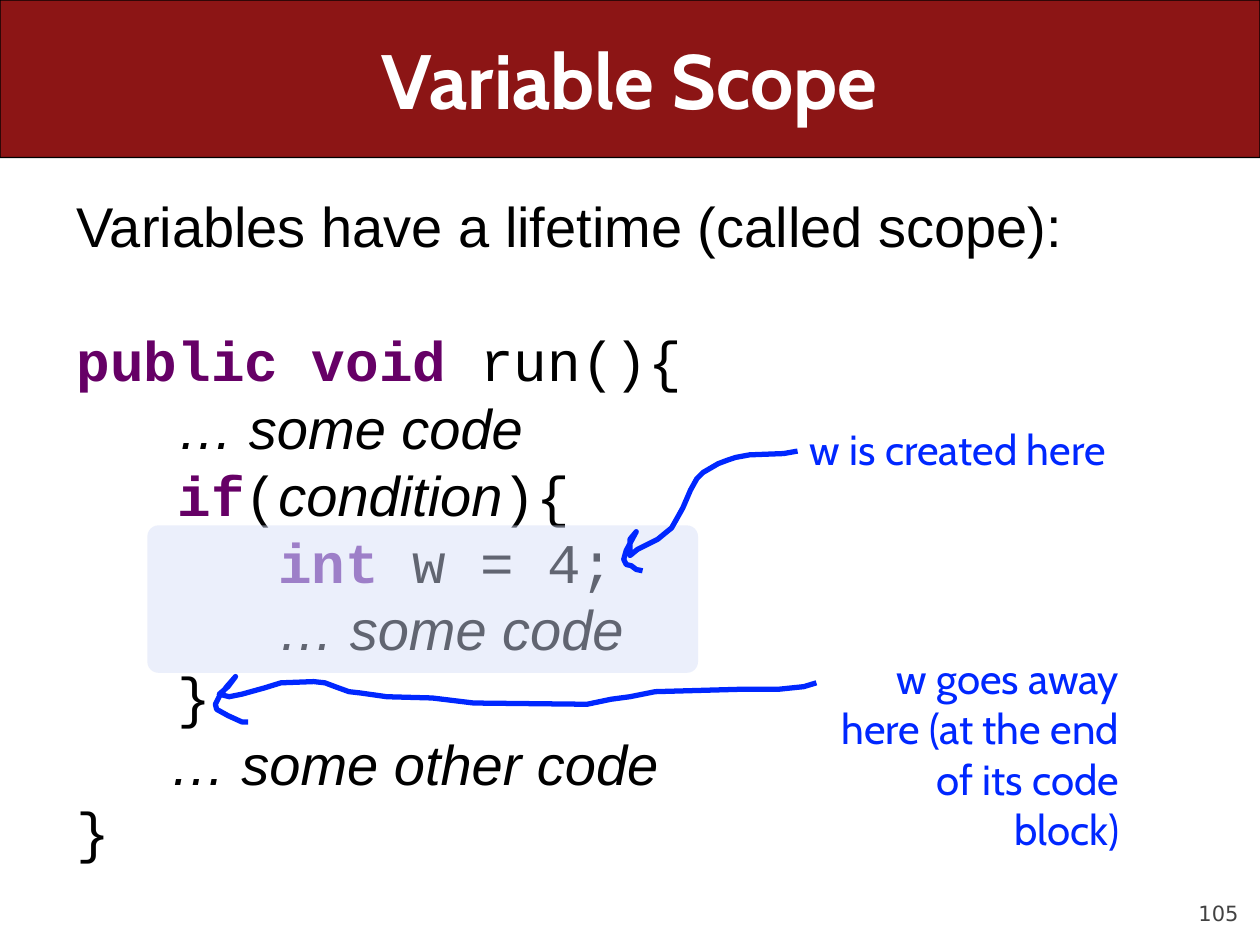
from lxml.etree import SubElement as Sub
from pptx import Presentation
from pptx.dml.color import RGBColor as RGB
from pptx.enum.shapes import MSO_SHAPE as Shape
from pptx.enum.text import MSO_ANCHOR as Anchor, MSO_AUTO_SIZE as Auto, PP_ALIGN as Align
from pptx.oxml.ns import qn
from pptx.util import Inches, Pt

COLORS = {"bar": "8C1515", "white": "FFFFFF", "black": "000000", "gray": "424242",
          "key": "660066", "type": "7030A0", "block": "D4DDF8", "note": "0027FF"}

# Run styles: font, colour, bold, italic
STYLES = {"text": ("Arial", "black", False, False),
          "some": ("Arial", "black", False, True),
          "code": ("Courier New", "black", False, False),
          "key": ("Courier New", "key", True, False),
          "type": ("Courier New", "type", True, False),
          "title": ("Cabin", "white", True, False),
          "note": ("Cabin", "note", False, False),
          "page": ("DejaVu Sans", "gray", False, False)}

SIZE, PITCH = 32, 38.4
STEP = 0.8  # three characters of code

# Lines of the body: indent in inches, then (text, style) runs
LINES = [
    (0, [("Variables have a lifetime (called scope):", "text")]),
    (0, [("public void ", "key"), ("run(){", "code")]),
    (STEP, [("… some code", "some")]),
    (STEP, [("if", "key"), ("(", "code"), ("condition", "some"), ("){", "code")]),
    (2 * STEP, [("int ", "type"), ("w = 4;", "code")]),
    (2 * STEP, [("… some code", "some")]),
    (STEP, [("}", "code")]),
    (0.74, [("… some other code", "some")]),
    (0, [("}", "code")]),
]

# Hand-drawn arrows, from the note to the code
START = [(6.33, 3.58), (6.22, 3.6), (5.95, 3.61), (5.84, 3.63), (5.78, 3.65),
         (5.7, 3.68), (5.58, 3.75), (5.53, 3.8), (5.48, 3.89), (5.42, 4.03),
         (5.37, 4.12), (5.33, 4.19), (5.22, 4.28), (5.14, 4.32), (5.06, 4.36),
         (5, 4.41), (5, 4.28), (5.05, 4.22), (4.97, 4.37), (4.95, 4.44),
         (4.97, 4.48), (5.01, 4.49), (5.05, 4.52), (5.1, 4.53)]
END = [(6.48, 5.42), (6.38, 5.45), (6.19, 5.47), (5.92, 5.47), (5.2, 5.49),
       (5, 5.53), (4.85, 5.55), (4.66, 5.59), (3.76, 5.58), (3.43, 5.54),
       (3.07, 5.53), (2.86, 5.5), (2.77, 5.49), (2.66, 5.45), (2.58, 5.42),
       (2.49, 5.41), (2.23, 5.42), (2.1, 5.46), (1.92, 5.51), (1.82, 5.53),
       (1.74, 5.51), (1.81, 5.45), (1.87, 5.37), (1.8, 5.45), (1.74, 5.53),
       (1.71, 5.59), (1.72, 5.63), (1.81, 5.68), (1.92, 5.73), (1.97, 5.73)]


def color(name):
    return RGB.from_string(COLORS[name])


def style(run, name, size):
    font = run.font
    font.name, tint, font.bold, font.italic = STYLES[name]
    font.color.rgb = color(tint)
    font.size = Pt(size)


def add_box(slide, area, wrap=True, grow=False):
    frame = slide.shapes.add_textbox(*map(Inches, area)).text_frame
    frame.word_wrap = wrap
    frame.auto_size = Auto.SHAPE_TO_FIT_TEXT if grow else Auto.NONE
    return frame


def add_label(slide, area, text, name, size, align, wrap=True, grow=False):
    frame = add_box(slide, area, wrap, grow)
    frame.text = text
    line = frame.paragraphs[0]
    line.alignment = align
    style(line.runs[0], name, size)
    return frame


def add_round(slide, area, fill, corner):
    shape = slide.shapes.add_shape(Shape.ROUNDED_RECTANGLE, *map(Inches, area))
    shape.adjustments[0] = corner
    shape.shadow.inherit = False
    shape.fill.solid()
    shape.fill.fore_color.rgb = color(fill)
    shape.line.fill.background()
    return shape


def add_code(slide, area):
    frame = add_box(slide, area, grow=True)
    for i, (indent, runs) in enumerate(LINES):
        line = frame.add_paragraph() if i else frame.paragraphs[0]
        line.line_spacing = Pt(PITCH)
        if i == 1:  # gap between the sentence and the code
            line.space_before = Pt(PITCH)
        line._p.get_or_add_pPr().set("marL", str(Inches(indent)))
        for text, name in runs:
            run = line.add_run()
            run.text = text
            style(run, name, SIZE)


def add_stroke(slide, points):
    first, *rest = [(Inches(x), Inches(y)) for x, y in points]
    pen = slide.shapes.build_freeform(*first)
    pen.add_line_segments(rest, close=False)
    shape = pen.convert_to_shape()
    shape.shadow.inherit = False
    shape.fill.background()
    shape.line.color.rgb = color("note")
    shape.line.width = Pt(3)
    Sub(shape.line._get_or_add_ln(), qn("a:round"))


def main():
    deck = Presentation()
    deck.slide_width, deck.slide_height = Inches(10), Inches(7.5)
    slide = deck.slides.add_slide(deck.slide_layouts[6])

    # Page number
    page = add_label(slide, (9, 6.95, 0.83, 0.4), "105", "page", 12, Align.RIGHT)
    page.margin_left = page.margin_right = page.margin_top = page.margin_bottom = 0
    page.vertical_anchor = Anchor.BOTTOM

    # Title bar
    bar = add_round(slide, (0, 0, 10, 1.25), "bar", 0.001)
    bar.line.color.rgb = color("black")
    bar.line.width = Pt(0.75)
    title = add_label(slide, (0.5, 0, 9, 1.25), "Variable Scope", "title", 44, Align.CENTER)
    title.vertical_anchor = Anchor.MIDDLE

    # Code, with a veil over the block where w lives
    add_code(slide, (0.51, 1.47, 8.99, 6.56))
    veil = add_round(slide, (1.17, 4.17, 4.37, 1.17), "block", 0.075)
    tint = veil.fill._xPr.find(qn("a:solidFill"))[0]
    Sub(tint, qn("a:alpha"), val="46000")

    # Notes and their arrows
    add_label(slide, (6.58, 5.13, 2.4, 1.72),
              "w goes away here (at the end of its code block)",
              "note", 24, Align.RIGHT, grow=True)
    add_label(slide, (6.33, 3.31, 2.76, 0.5), "w is created here",
              "note", 24, Align.LEFT, grow=True)
    for points in (START, END):
        add_stroke(slide, points)

    deck.save("out.pptx")


if __name__ == "__main__":
    main()
